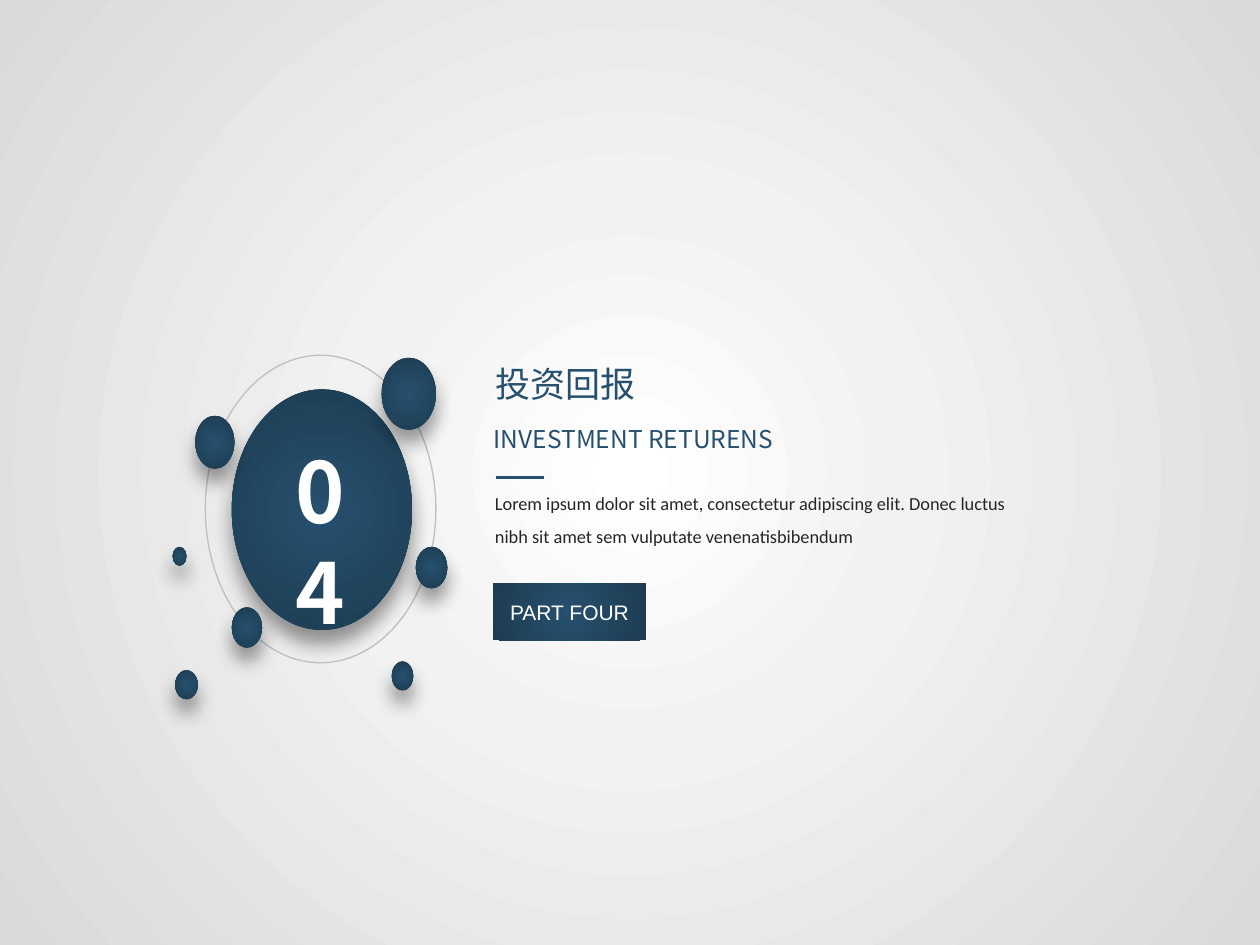
"""Build the section divider slide for part four, investment returns."""
from lxml import etree
from pptx import Presentation
from pptx.dml.color import RGBColor
from pptx.enum.shapes import MSO_CONNECTOR, MSO_SHAPE
from pptx.enum.text import MSO_ANCHOR, MSO_AUTO_SIZE, PP_ALIGN
from pptx.oxml import parse_xml
from pptx.oxml.ns import nsdecls, qn
from pptx.util import Pt

OVAL, RECTANGLE = MSO_SHAPE.OVAL, MSO_SHAPE.RECTANGLE
STRAIGHT = MSO_CONNECTOR.STRAIGHT
LEFT, CENTER = PP_ALIGN.LEFT, PP_ALIGN.CENTER
TOP, MIDDLE = MSO_ANCHOR.TOP, MSO_ANCHOR.MIDDLE
GROW, FIXED = MSO_AUTO_SIZE.SHAPE_TO_FIT_TEXT, MSO_AUTO_SIZE.NONE
PX = 9144
CJK = "Noto Sans CJK SC"
COLORS = {
    "navy": "27506E", "deep": "1D3C52", "white": "FFFFFF", "mist": "F2F2F2",
    "edge": "D9D9D9", "ring": "BFBFBF", "body": "262626", "shadow": "000000",
}
NAVY_STOPS = [(0, "navy"), (100, "deep")]
BACKDROP_STOPS = [(0, "white"), (35, "mist"), (100, "edge")]


def radial_fill(properties, stops):
    marks = "".join(
        f'<a:gs pos="{pos * 1000}"><a:srgbClr val="{COLORS[name]}"/></a:gs>'
        for pos, name in stops)
    gradient = parse_xml(
        f'<a:gradFill {nsdecls("a")} rotWithShape="1"><a:gsLst>{marks}</a:gsLst>'
        '<a:path path="circle"><a:fillToRect l="50000" t="50000" r="50000" b="50000"/>'
        '</a:path></a:gradFill>')
    properties.replace(properties.find(qn("a:solidFill")), gradient)


def write(shape, text, size, font, color, align=LEFT, anchor=TOP, wrap=False,
          fit=GROW, bold=False, spacing=1.0):
    frame = shape.text_frame
    frame.text = text
    frame.word_wrap, frame.auto_size, frame.vertical_anchor = wrap, fit, anchor
    paragraph = frame.paragraphs[0]
    paragraph.alignment, paragraph.line_spacing = align, spacing
    run = paragraph.runs[0]
    run.font.size, run.font.name, run.font.bold = Pt(size), font, bold
    run.font.color.rgb = RGBColor.from_string(COLORS[color])
    etree.SubElement(run.font._element, qn("a:ea"), typeface=font)


deck = Presentation()
deck.slide_width, deck.slide_height = 1000 * PX, 750 * PX
slide = deck.slides.add_slide(deck.slide_layouts[5])
shapes = slide.shapes

slide.background.fill.solid()
radial_fill(slide.background._cSld.find(".//" + qn("p:bgPr")), BACKDROP_STOPS)

ring = shapes.add_shape(OVAL, 163 * PX, 282 * PX, 183 * PX, 244 * PX)
ring.shadow.inherit = False
ring.fill.background()
ring.line.color.rgb = RGBColor.from_string(COLORS["ring"])
ring.line.width = Pt(0.75)

bubbles = [
    (184, 309, 143, 191), (303, 284, 43, 57), (155, 330, 31, 42),
    (139, 532, 18, 23), (184, 482, 24, 32), (330, 434, 25, 33),
    (311, 525, 17, 23), (137, 434, 11, 15),
]
for box in bubbles:
    bubble = shapes.add_shape(OVAL, *(value * PX for value in box))
    bubble.shadow.inherit = False
    bubble.line.fill.background()
    bubble.fill.solid()
    radial_fill(bubble._element.spPr, NAVY_STOPS)
    bubble._element.spPr.find(qn("a:effectLst")).append(parse_xml(
        f'<a:outerShdw {nsdecls("a")} blurRad="{Pt(11)}" dist="{Pt(8)}" dir="5400000" '
        f'algn="t" rotWithShape="0"><a:srgbClr val="{COLORS["shadow"]}">'
        '<a:alpha val="40000"/></a:srgbClr></a:outerShdw>'))

number = shapes.add_textbox(207 * PX, 344 * PX, 94 * PX, 91 * PX)
write(number, "04", 48, CJK, "white", CENTER, wrap=True, bold=True)

heading = shapes.title
heading.left, heading.top, heading.width, heading.height = (
    383 * PX, 283 * PX, 132 * PX, 44 * PX)
write(heading, "投资回报", 20, CJK, "navy")

subheading = shapes.add_textbox(382 * PX, 332 * PX, 252 * PX, 34 * PX)
write(subheading, "INVESTMENT RETURENS", 14, CJK, "navy")

rule = shapes.add_connector(STRAIGHT, 394 * PX, 379 * PX, 432 * PX, 379 * PX)
rule.line.color.rgb = RGBColor.from_string(COLORS["navy"])
rule.line.width = Pt(2.25)
etree.SubElement(rule._element.spPr, qn("a:effectLst"))

summary = shapes.add_textbox(383 * PX, 377 * PX, 451 * PX, 63 * PX)
write(summary, "Lorem ipsum dolor sit amet, consectetur adipiscing elit. Donec luctus "
      "nibh sit amet sem vulputate venenatisbibendum", 10.5, "Calibri", "body",
      wrap=True, spacing=1.5)

part_label = shapes.add_shape(RECTANGLE, 391 * PX, 463 * PX, 122 * PX, 45 * PX)
part_label.shadow.inherit = False
part_label.line.fill.background()
part_label.fill.solid()
radial_fill(part_label._element.spPr, NAVY_STOPS)
write(part_label, "PART FOUR", 12, "Arial", "white", CENTER, MIDDLE, wrap=True, fit=FIXED)

deck.save("out.pptx")
